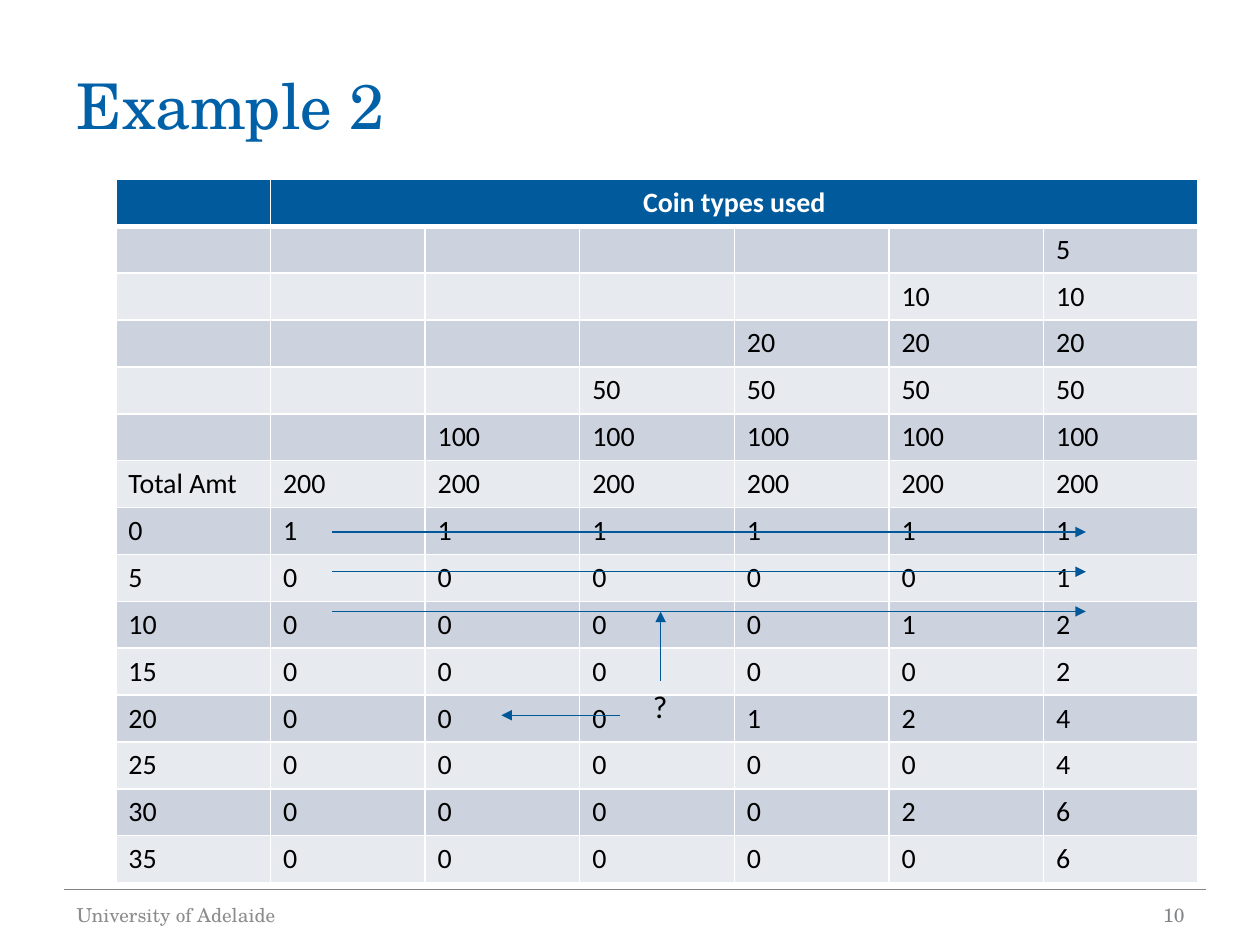
from lxml import etree
from pptx import Presentation
from pptx.dml.color import RGBColor
from pptx.enum.shapes import MSO_CONNECTOR
from pptx.enum.text import MSO_ANCHOR, PP_ALIGN
from pptx.oxml.ns import qn
from pptx.util import Pt

STRAIGHT = MSO_CONNECTOR.STRAIGHT
MIDDLE = MSO_ANCHOR.MIDDLE
TOP = MSO_ANCHOR.TOP
LEFT = PP_ALIGN.LEFT
CENTER = PP_ALIGN.CENTER
RIGHT = PP_ALIGN.RIGHT

SERIF = "TeX Gyre Schola"
SANS = "Calibri"
TABLE_SIZE = 16
COLORS = {
    "title": "0060A8",
    "header": "005A9C",
    "arrow": "005899",
    "band_dark": "CCD2DE",
    "band_light": "E7EAEF",
    "rule": "808285",
    "footer": "8C8C8C",
    "white": "FFFFFF",
    "black": "000000",
}

COINS = [5, 10, 20, 50, 100, 200]
WAYS = {
    0: [1, 1, 1, 1, 1, 1],
    5: [0, 0, 0, 0, 0, 1],
    10: [0, 0, 0, 0, 1, 2],
    15: [0, 0, 0, 0, 0, 2],
    20: [0, 0, 0, 1, 2, 4],
    25: [0, 0, 0, 0, 0, 4],
    30: [0, 0, 0, 0, 2, 6],
    35: [0, 0, 0, 0, 0, 6],
}


def rgb(name):
    return RGBColor.from_string(COLORS[name])


def style_text(frame, font, size, color, align=LEFT, bold=False):
    paragraph = frame.paragraphs[0]
    paragraph.alignment = align
    for run in paragraph.runs:
        run.font.name = font
        run.font.size = Pt(size)
        run.font.bold = bold
        run.font.color.rgb = rgb(color)


def add_title(slide, text):
    title = slide.shapes.title
    title.left, title.top, title.width, title.height = Pt(36.7), Pt(26), Pt(648), Pt(67)
    title.text_frame.text = text
    title.text_frame.vertical_anchor = MIDDLE
    style_text(title.text_frame, SERIF, 36, "title")


def add_label(slide, text, box, font, size, color, align=LEFT, anchor=MIDDLE, wrap=True):
    label = slide.shapes.add_textbox(*map(Pt, box))
    label.text_frame.word_wrap = wrap
    label.text_frame.vertical_anchor = anchor
    label.text_frame.text = text
    style_text(label.text_frame, font, size, color, align)
    return label


def add_line(slide, start, end, color, arrow=False):
    line = slide.shapes.add_connector(STRAIGHT, *map(Pt, start + end))
    line.line.color.rgb = rgb(color)
    line.line.width = Pt(0.75)
    if arrow:
        etree.SubElement(line.line._get_or_add_ln(), qn("a:tailEnd"), type="triangle")
    etree.SubElement(line._element.spPr, qn("a:effectLst"))
    return line


def set_borders(cell, bottom_width):
    properties = cell._tc.get_or_add_tcPr()
    widths = {"a:lnL": 1, "a:lnR": 1, "a:lnT": 1, "a:lnB": bottom_width}
    for position, (side, width) in enumerate(widths.items()):
        border = etree.Element(qn(side), w=str(Pt(width)))
        fill = etree.SubElement(border, qn("a:solidFill"))
        etree.SubElement(fill, qn("a:srgbClr"), val=COLORS["white"])
        properties.insert(position, border)


def fill_cell(cell, value, fill, color, align=LEFT, bold=False, bottom_width=1):
    cell.fill.solid()
    cell.fill.fore_color.rgb = rgb(fill)
    set_borders(cell, bottom_width)
    cell.text_frame.text = str(value)
    style_text(cell.text_frame, SANS, TABLE_SIZE, color, align, bold)
    if value == "":
        paragraph = cell.text_frame.paragraphs[0]._p
        etree.SubElement(paragraph, qn("a:endParaRPr"), sz=str(TABLE_SIZE * 100))


def coin_rows():
    count = len(COINS)
    for index, coin in enumerate(COINS):
        label = "Total Amt" if index == count - 1 else ""
        yield [label] + [""] * (count - 1 - index) + [coin] * (index + 1)


def add_coin_table(slide):
    body = list(coin_rows()) + [[amount] + ways for amount, ways in WAYS.items()]
    columns = len(COINS) + 1
    row_count = len(body) + 1
    frame = slide.shapes.add_table(
        row_count, columns, Pt(66.2), Pt(102.5), Pt(618.5), Pt(26.4 * row_count)
    )
    table = frame.table
    for column in table.columns:
        column.width = Pt(88.36)
    header = ["", "Coin types used"] + [""] * (columns - 2)
    for index, heading in enumerate(header):
        fill_cell(table.cell(0, index), heading, "header", "white", CENTER, True, 3)
    table.cell(0, 1).merge(table.cell(0, columns - 1))
    for row, values in enumerate(body, start=1):
        band = "band_dark" if row % 2 else "band_light"
        for column, value in enumerate(values):
            fill_cell(table.cell(row, column), value, band, "black")


def add_arrows(slide):
    question = add_label(
        slide, "?", (366, 389, 23, 29), SANS, 18, "black", anchor=TOP, wrap=False
    )
    upward = add_line(slide, (377.5, 389), (377.5, 349.5), "arrow", True)
    upward.begin_connect(question, 0)
    add_line(slide, (354.5, 408.7), (286.5, 408.7), "arrow", True)
    for index in range(3):
        y = 304 + index * 22.7
        add_line(slide, (190, y), (620.5, y), "arrow", True)


def main():
    presentation = Presentation()
    presentation.slide_width = Pt(720)
    presentation.slide_height = Pt(540)
    slide = presentation.slides.add_slide(presentation.slide_layouts[5])
    add_line(slide, (36.7, 508.3), (689, 508.3), "rule")
    add_title(slide, "Example 2")
    add_coin_table(slide)
    add_label(slide, "University of Adelaide", (36.7, 508, 228, 29), SERIF, 11, "footer")
    add_label(slide, "10", (516, 508, 168, 29), SERIF, 11, "rule", RIGHT)
    add_arrows(slide)
    presentation.save("out.pptx")


if __name__ == "__main__":
    main()
